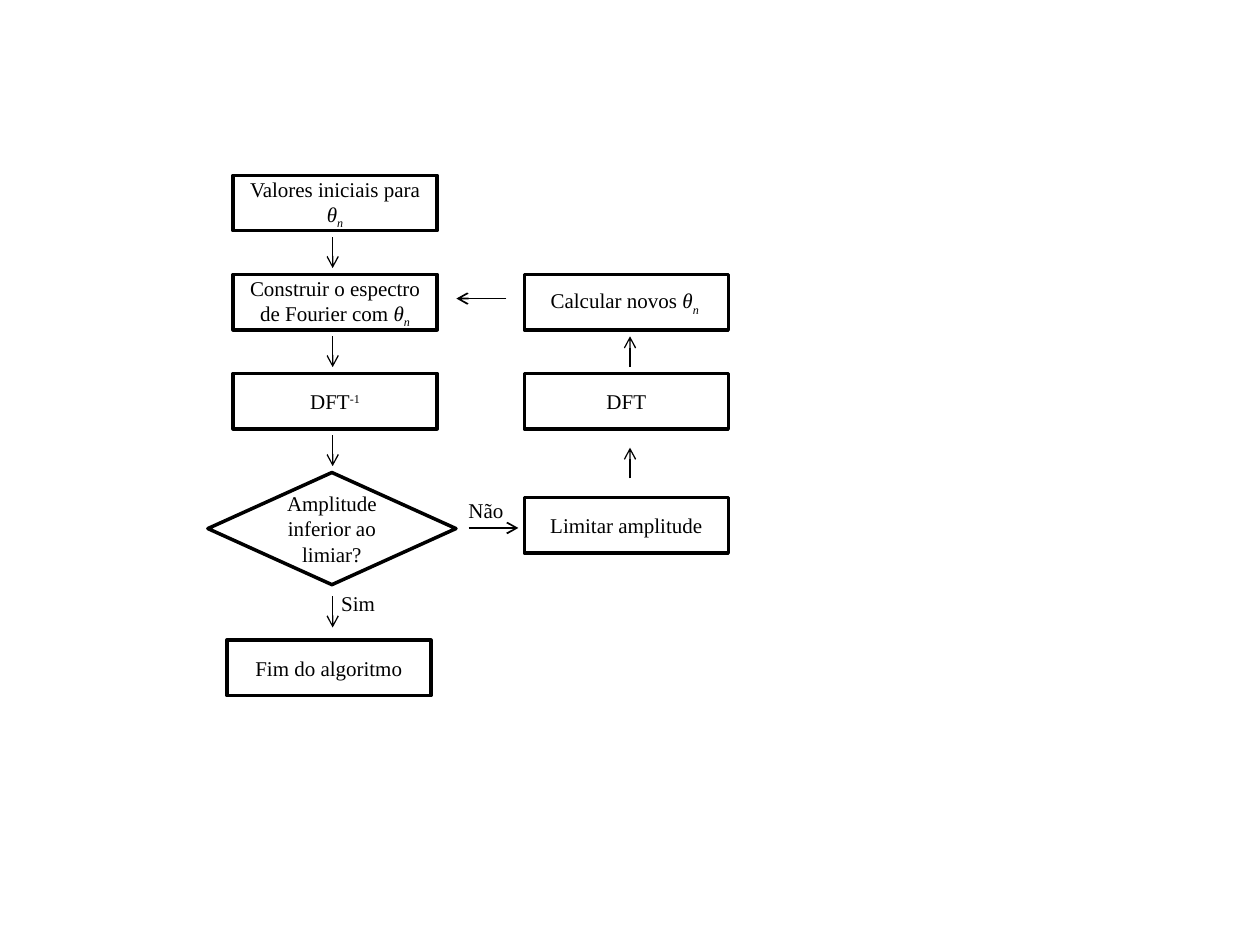
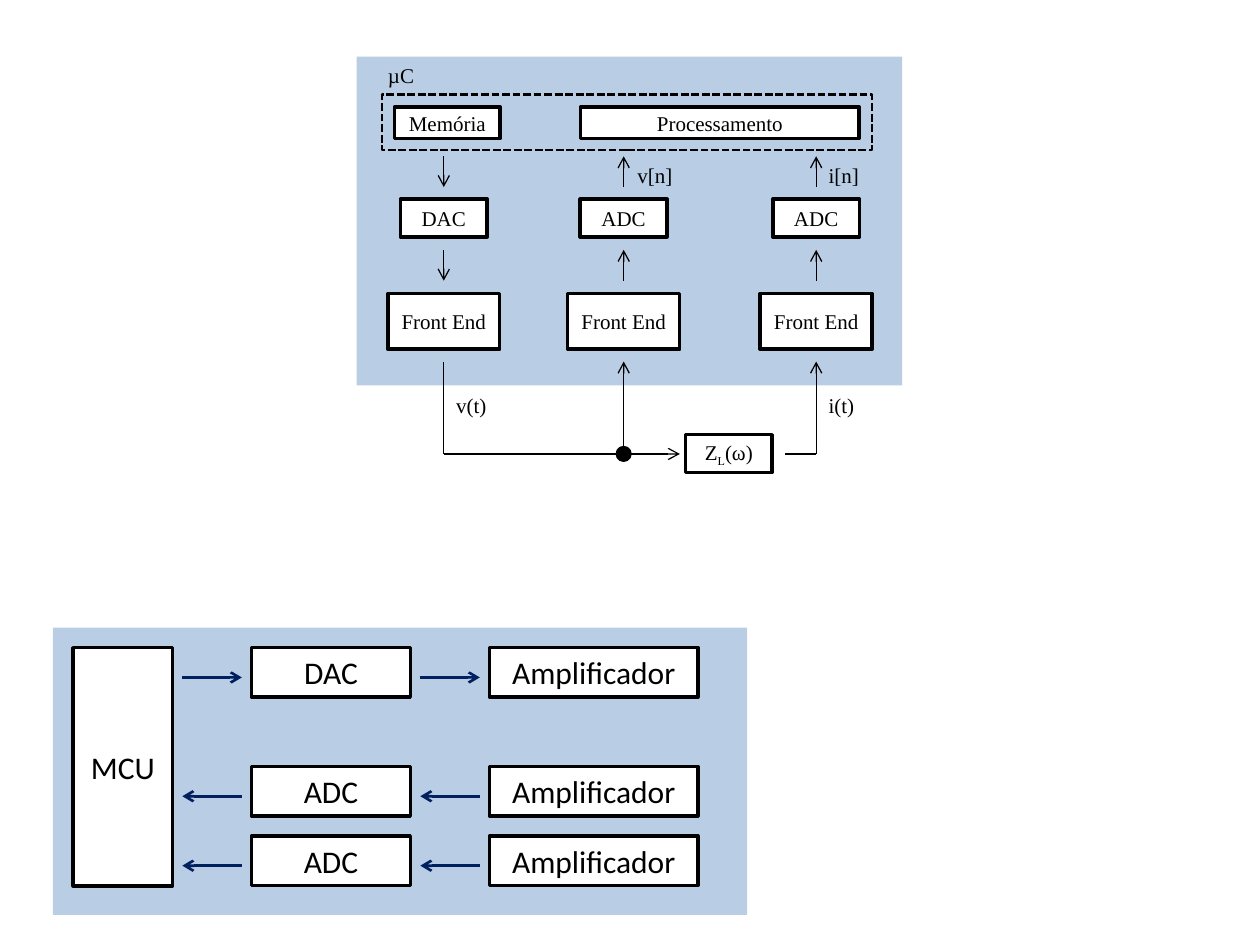
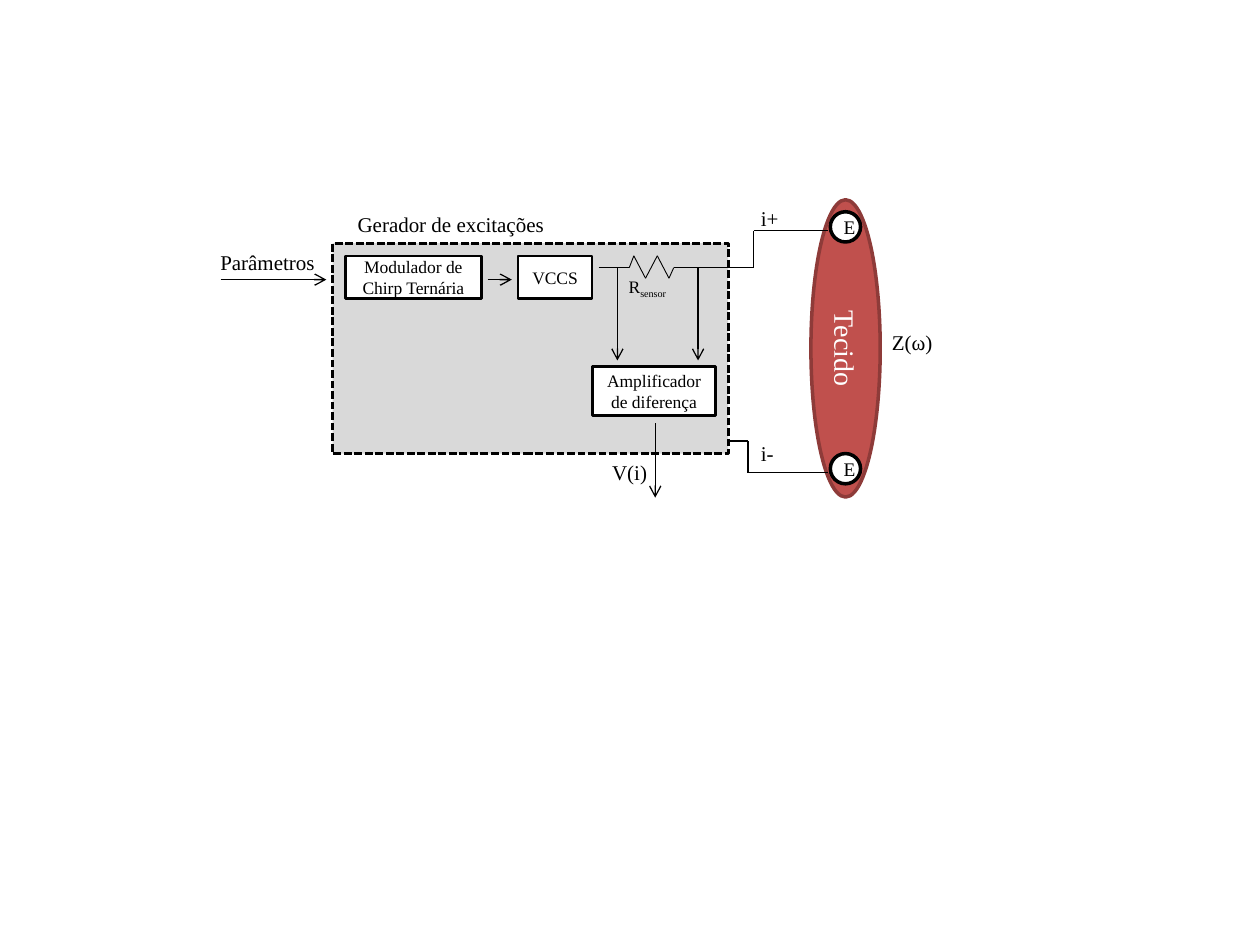
from itertools import pairwise

from lxml import etree
from pptx import Presentation
from pptx.dml.color import RGBColor
from pptx.enum.dml import MSO_LINE
from pptx.enum.shapes import MSO_CONNECTOR, MSO_SHAPE
from pptx.enum.text import MSO_ANCHOR, MSO_AUTO_SIZE, PP_ALIGN
from pptx.oxml.ns import qn
from pptx.util import Pt

RECT, OVAL, DIAMOND = MSO_SHAPE.RECTANGLE, MSO_SHAPE.OVAL, MSO_SHAPE.DIAMOND
STRAIGHT = MSO_CONNECTOR.STRAIGHT
DASH = MSO_LINE.SQUARE_DOT
CENTER, MIDDLE = PP_ALIGN.CENTER, MSO_ANCHOR.MIDDLE
FIT_SHAPE = MSO_AUTO_SIZE.SHAPE_TO_FIT_TEXT

BLACK, WHITE, NAVY = "000000", "FFFFFF", "002060"
PANEL_BLUE, PANEL_GRAY = "B9CDE5", "D9D9D9"
TISSUE_RED, TISSUE_EDGE = "C0504D", "8E3B39"
SERIF, SANS = "Times New Roman", "Calibri"
SUB, SUP = -25000, 30000
LABEL_HEIGHT = 21.6

# Runs of mixed text: (text, italic, baseline)
THETA_N = [("θ", True, 0), ("n", True, SUB)]


def rgb(value):
    return RGBColor.from_string(value)


class Diagram:
    """Holds the presentation, the current slide and the text style."""

    def __init__(self):
        self.prs = Presentation()
        self.prs.slide_width, self.prs.slide_height = Pt(720), Pt(540)

    def new_slide(self):
        self.shapes = self.prs.slides.add_slide(self.prs.slide_layouts[6]).shapes

    def set_text(self, frame, text, size, font=SERIF, color=BLACK, align=None):
        """Fill a frame with plain lines, or with one line of mixed runs."""
        lines = text.split("\n") if isinstance(text, str) else [text]
        for index, line in enumerate(lines):
            paragraph = frame.add_paragraph() if index else frame.paragraphs[0]
            paragraph.alignment = align
            paragraph.font.size, paragraph.font.name = Pt(size), font
            paragraph.font.color.rgb = rgb(color)
            runs = [(line, False, 0)] if isinstance(line, str) else line
            for words, italic, baseline in runs:
                run = paragraph.add_run()
                run.text = words
                if italic:
                    run.font.italic = True
                if baseline:
                    run._r.get_or_add_rPr().set("baseline", str(baseline))

    def box(self, x, y, w, h, text="", fill=WHITE, line=BLACK, weight=2,
            kind=RECT, dash=None, size=12, font=SERIF, color=BLACK):
        shape = self.shapes.add_shape(kind, Pt(x), Pt(y), Pt(w), Pt(h))
        shape.shadow.inherit = False
        if fill:
            shape.fill.solid()
            shape.fill.fore_color.rgb = rgb(fill)
        else:
            shape.fill.background()
        if line:
            shape.line.color.rgb = rgb(line)
            shape.line.width = Pt(weight)
            if dash:
                shape.line.dash_style = dash
        else:
            shape.line.fill.background()
        if text:
            shape.text_frame.vertical_anchor = MIDDLE
            self.set_text(shape.text_frame, text, size, font, color, CENTER)
        return shape

    def label(self, x, y, w, text, h=LABEL_HEIGHT, size=12):
        frame = self.shapes.add_textbox(Pt(x), Pt(y), Pt(w), Pt(h)).text_frame
        frame.word_wrap, frame.auto_size = False, FIT_SHAPE
        self.set_text(frame, text, size)
        return frame

    def wire(self, *points, arrow=False, color=BLACK, weight=0.75):
        """Join points by straight lines; an arrow sits on the last one."""
        for start, end in pairwise(points):
            segment = self.shapes.add_connector(STRAIGHT, *map(Pt, start + end))
            segment.line.color.rgb = rgb(color)
            segment.line.width = Pt(weight)
            etree.SubElement(segment._element.spPr, qn("a:effectLst"))
        if arrow:
            etree.SubElement(segment.get_or_add_ln(), qn("a:tailEnd"), type="arrow")

    def arrow(self, start, end, **style):
        self.wire(start, end, arrow=True, **style)


def algorithm_slide(d):
    d.new_slide()
    left, right, top, pitch = 133.2, 299.6, 100.2, 56.6
    left_axis, right_axis = 190.1, 360

    def step(x, y, text):
        d.box(x, y, 116.6, 31.7, text, fill=None)

    # Descending branch
    descending = [
        [("Valores iniciais para ", False, 0)] + THETA_N,
        [("Construir o espectro de Fourier com ", False, 0)] + THETA_N,
        [("DFT", False, 0), ("-1", False, SUP)],
    ]
    for row, text in enumerate(descending):
        y = top + row * pitch
        step(left, y, text)
        d.arrow((left_axis, y + 35.4), (left_axis, y + 53))
    d.box(118.8, 270, 141.8, 64.1, "Amplitude inferior ao limiar?", fill=None, kind=DIAMOND)
    d.arrow((left_axis, 340.8), (left_axis, 358.6))
    d.label(187.9, 334.1, 33.8, "Sim")
    step(129.6, 365.8, "Fim do algoritmo")

    # Feedback branch
    novos = [("Calcular novos ", False, 0), ("θ", True, 0), ("n ", True, SUB)]
    step(right, top + pitch, novos)
    step(right, top + 2 * pitch, "DFT")
    step(right, 284.4, "Limitar amplitude")
    for y in (192.2, 255.8):
        d.arrow((right_axis, y + 17.6), (right_axis, y))
    d.arrow((267.8, 301.7), (296.2, 301.7), weight=1)
    d.arrow((289.4, 170.6), (260.8, 170.6), weight=1)
    d.label(260.6, 280.8, 34.6, "Não")


def hardware_slide(d):
    d.new_slide()

    # Simplified chain
    d.box(30.2, 358.6, 396.7, 164.2, fill=PANEL_BLUE, line=None)
    d.box(41.8, 370.1, 56.9, 136.1, "MCU", size=18, font=SANS)
    for y, converter in ((370.1, "DAC"), (438, "ADC"), (477.7, "ADC")):
        d.box(143.8, y, 90.7, 28.3, converter, size=18, font=SANS)
        d.box(279.8, y, 119, 28.3, "Amplificador", size=18, font=SANS)
        for x in (104.2, 240.2):
            ends = [(x, y + 17), (x + 34, y + 17)]
            if converter == "ADC":
                ends.reverse()
            d.arrow(*ends, color=NAVY, weight=1.5)

    # Microcontroller
    d.box(203.8, 32.4, 311.8, 187.9, fill=PANEL_BLUE, line=None)
    d.box(218.2, 54, 280.1, 31.7, fill=None, weight=1.5, dash=DASH)
    d.box(225.4, 61.2, 60.5, 18, "Memória")
    d.box(331.7, 61.2, 159.3, 18, "Processamento")

    # Signal channels
    output, voltage, current = 253.6, 356.4, 466.4
    for x, converter in ((output, "DAC"), (voltage, "ADC"), (current, "ADC")):
        d.box(x - 24.8, 113.8, 49.6, 21.6, converter)
        d.box(x - 32, 167.8, 64, 31.8, "Front End")
        for y in (89.3, 142.8):
            ends = [(x, y), (x, y + 17.6)]
            if converter == "ADC":
                ends.reverse()
            d.arrow(*ends)

    # Load circuit
    port, bus = 206.6, 259.4
    d.wire((output, port), (output, bus), (388.5, bus), arrow=True)
    d.arrow((voltage, bus), (voltage, port))
    d.wire((448.6, bus), (current, bus), (current, port), arrow=True)
    d.box(voltage - 3.6, bus - 3.6, 7.2, 7.2, fill=BLACK, kind=OVAL)
    d.box(391.7, 248.4, 49.6, 21.6, [("Z", False, 0), ("L", False, SUB), ("(ω)", False, 0)])

    # Signal names
    for x, y, w, name in (
        (214.6, 32.4, 29.5, "µC"), (357.1, 89.3, 34.6, "v[n]"),
        (current, 89.3, 32.4, "i[n]"), (output, 221, 32.4, "v(t)"),
        (current, 221, 29.5, "i(t)"),
    ):
        d.label(x, y, w, name)


def excitation_slide(d):
    d.new_slide()

    # Tissue and electrodes
    tissue = d.box(398.2, 179.3, 169.9, 39.6, "Tecido", fill=TISSUE_RED,
                   line=TISSUE_EDGE, kind=OVAL, size=16, color=WHITE)
    tissue.rotation = 90
    for y in (121, 259.2):
        d.box(474.5, y, 17.3, 17.3, "E", kind=OVAL, size=11)

    # Excitation generator
    d.box(190.1, 139, 226.1, 120.2, fill=PANEL_GRAY, weight=1.5, dash=DASH)
    for x, y, w, h, text in (
        (197.3, 146.2, 77.8, 24.5, "Modulador de\nChirp Ternária"),
        (295.9, 146.2, 42.5, 24.5, "VCCS"),
        (338.4, 209.5, 70.6, 28.1, "Amplificador de diferença"),
    ):
        d.box(x, y, w, h, text, weight=1.5, size=10)
    for start, end in ((126, 186.5), (278.6, 292.5)):
        d.arrow((start, 159.8), (end, 159.8))

    # Sense resistor
    rail, sense_left, sense_right = 153, 359.6, 385
    d.wire((342, rail), (sense_left, rail))
    zigzag = [(362.2 + 6.7 * i, 159 if i % 2 else 146.2) for i in range(4)]
    d.wire((sense_left, rail), *zigzag, (sense_right, rail), weight=0.5)
    sensor = d.label(359.3, 157.7, 23.8, [("R", False, 0), ("sensor", False, SUB)],
                     h=12.2, size=10)
    sensor.margin_left = sensor.margin_right = sensor.margin_top = sensor.margin_bottom = 0
    for x in (352.8, 398.9):
        d.arrow((x, rail), (x, 206))
    d.arrow((374.4, 241.9), (374.4, 284.4))

    # Electrode wires
    d.wire((sense_right, rail), (430.6, rail), (430.6, 131.8), (473, 131.8))
    d.wire((415.4, 252), (427.4, 252), (427.4, 270), (473, 270))

    # Signal names
    for x, y, w, name in (
        (118.8, 139, 69.1, "Parâmetros"), (197.3, 117.4, 122.4, "Gerador de excitações"),
        (342.7, 259.2, 34.6, "V(i)"), (427.7, 113.8, 24.5, "i+"),
        (427.7, 248.4, 22.3, "i-"), (502.6, 185, 38.2, "Z(ω)"),
    ):
        d.label(x, y, w, name)


def main():
    diagram = Diagram()
    algorithm_slide(diagram)
    hardware_slide(diagram)
    excitation_slide(diagram)
    diagram.prs.save("out.pptx")


if __name__ == "__main__":
    main()
